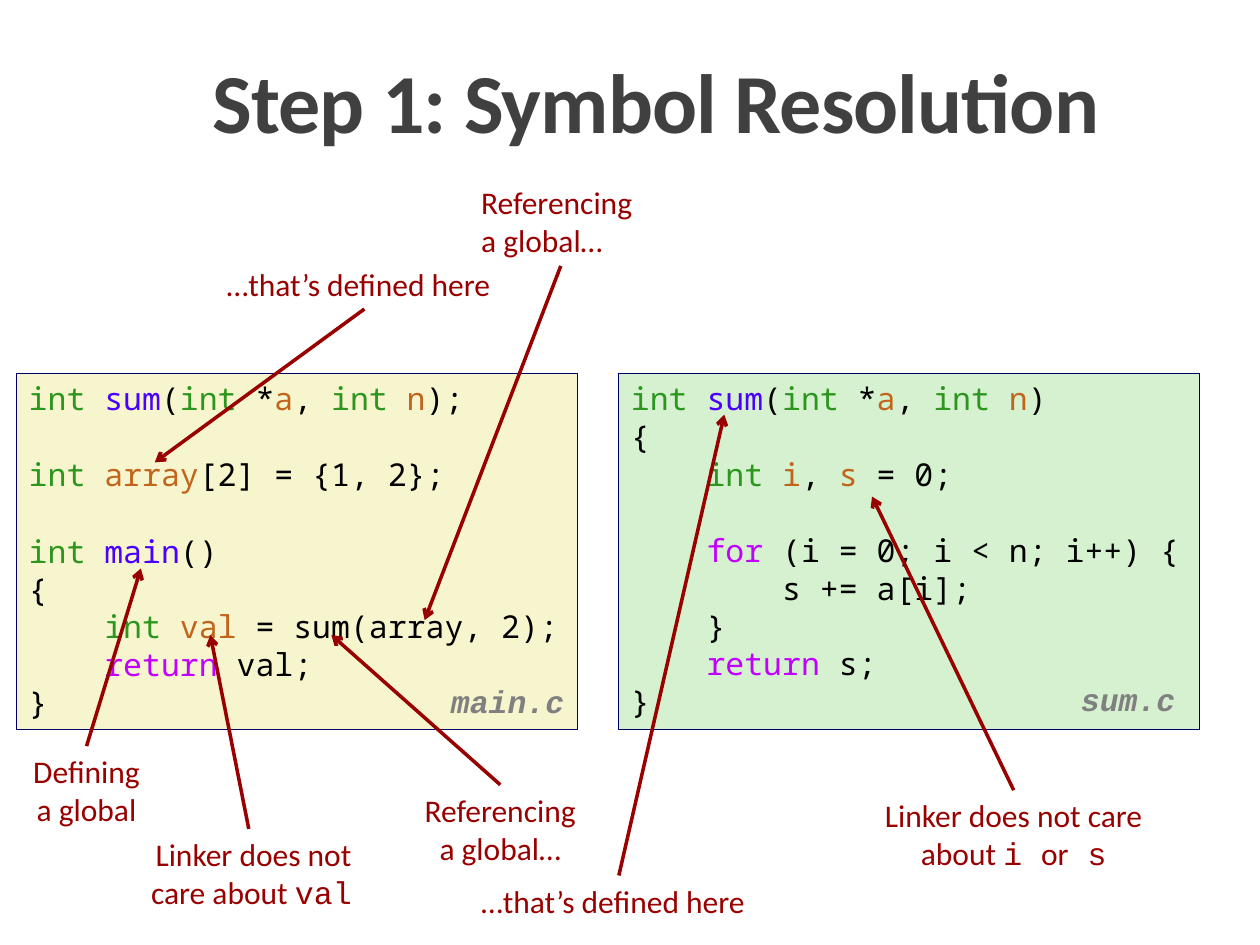
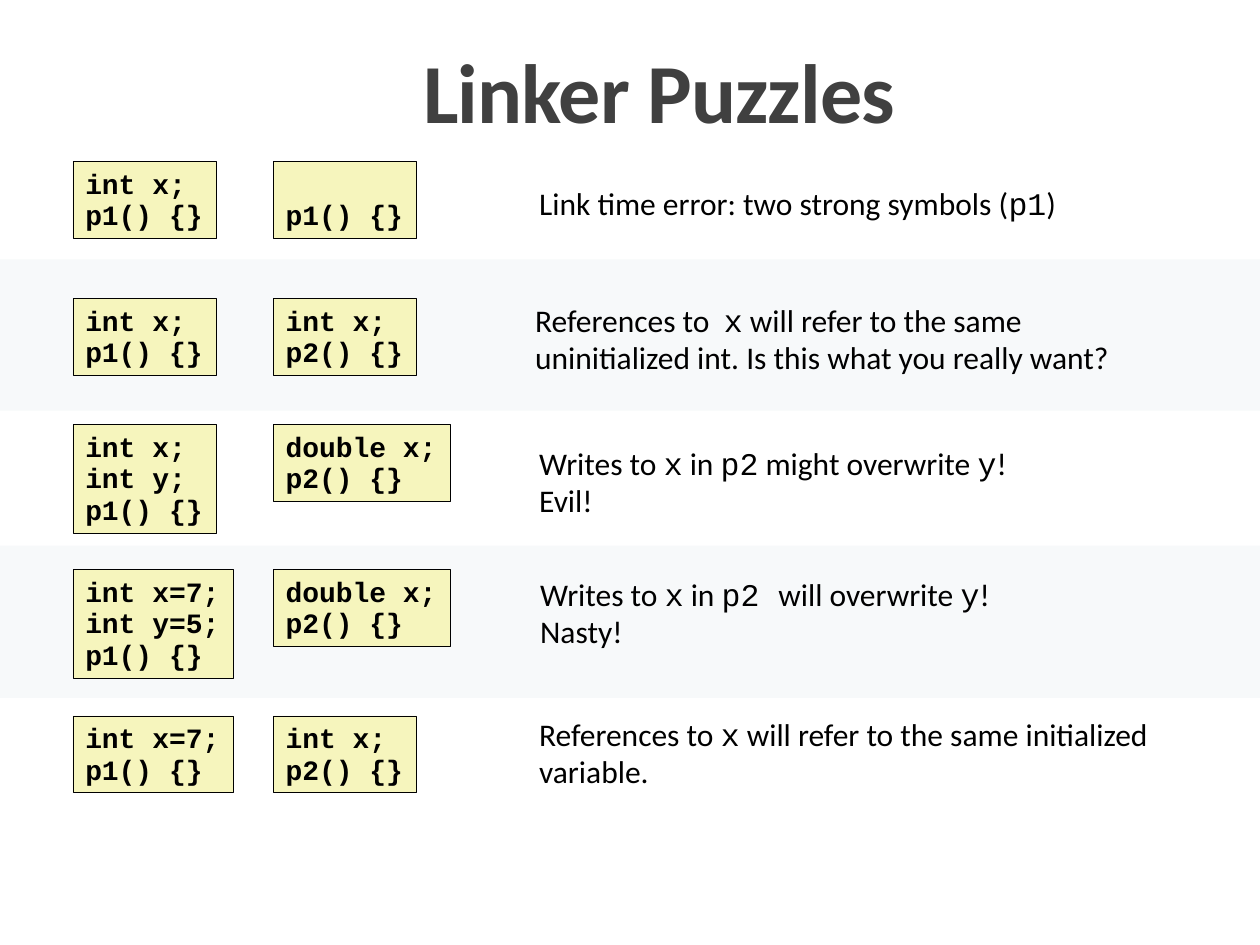
from lxml import etree
from pptx import Presentation
from pptx.dml.color import RGBColor
from pptx.enum.shapes import MSO_CONNECTOR, MSO_SHAPE
from pptx.enum.text import MSO_ANCHOR, PP_ALIGN
from pptx.oxml.ns import qn
from pptx.util import Cm, Pt

LEFT, MID, RIGHT = PP_ALIGN.LEFT, PP_ALIGN.CENTER, PP_ALIGN.RIGHT
TOP, BOTTOM = MSO_ANCHOR.TOP, MSO_ANCHOR.BOTTOM
RECT, LINE = MSO_SHAPE.RECTANGLE, MSO_CONNECTOR.STRAIGHT
SANS, COURIER, MONO = "Calibri", "Courier New", "Noto Sans Mono"

COLORS = {
    "title": "404040", "black": "000000", "red": "990000", "gray": "808080",
    "navy": "000066", "main": "F7F5CD", "sum": "D5F1CF",
    "cell": "F6F5BD", "band": "F7F9FA",
}
TONES = {"g": "2D961E", "b": "4A00FF", "o": "C1651C", "p": "C200FF", "k": "000000"}
FACES = {"m": COURIER, "c": SANS}

MAIN = """`gint `bsum`k(`gint`k *`oa`k, `gint `on`k);

`gint `oarray`k[2] = {1, 2};

`gint `bmain`k()
{
    `gint `oval`k = sum(array, 2);
    `preturn`k val;
}"""
SUM = """`gint `bsum`k(`gint`k *`oa`k, `gint `on`k)
{
    `gint `oi`k, `os`k = 0;

    `pfor`k (i = 0; i < n; i++) {
        s += a[i];
    }
    `preturn`k s;
}"""

PANELS = [
    ((0.33, 7.52, 11.3, 7.19), "main", MAIN, "main.c", (8.51, 6.17, 2.79, 0.99)),
    ((12.47, 7.52, 11.71, 7.19), "sum", SUM, "sum.c", (9.07, 6.12, 2.59, 0.99)),
]
CALLS = [
    ("Referencing\na global…", (9.45, 3.56, 3.71, 1.8), LEFT, (8.56, 12.5)),
    ("Defining\na global", (0.36, 15.04, 2.77, 1.8), MID, (2.84, 11.46)),
    ("Linker does not\ncare about `mval", (2.69, 16.71, 4.65, 1.8), RIGHT, (4.24, 12.8)),
    ("Referencing\na global…", (8.23, 15.82, 3.71, 1.8), MID, (6.68, 12.8)),
    ("…that’s defined here", (9.45, 17.65, 6.05, 1.02), LEFT, (14.6, 8.36)),
    ("Linker does not care\nabout `mi `cor`m s", (17.55, 15.93, 5.77, 1.8), MID,
     (17.58, 10.01)),
    ("…that’s defined here", (4.32, 5.21, 6.05, 1.02), LEFT, (3.12, 9.32)),
]
BANDS = [(0, 11, 25.4, 3.07), (0, 5.23, 25.4, 3.05)]
PUZZLES = [
    (3.25, "int x;\np1() {}", "p1() {}",
     "Link time error: two strong symbols (`mp1`c)", (10.62, 0.38, 11.25, 1.02)),
    (6.02, "int x;\np1() {}", "int x;\np2() {}",
     "References to  `mx`c will refer to the same\n"
     "uninitialized int. Is this what you really want?", (10.54, -0.03, 12.22, 1.78)),
    (8.56, "int x;\nint y;\np1() {}", "double x;\np2() {}",
     "Writes to `mx`c in `mp2`c might overwrite `my`c!\nEvil!", (10.62, 0.3, 10.03, 1.78)),
    (11.48, "int x=7;\nint y=5;\np1() {}", "double x;\np2() {}",
     "Writes to `mx`c in `mp2 `cwill overwrite `my`c!\nNasty!", (10.64, 0.03, 9.65, 1.78)),
    (14.43, "int x=7;\np1() {}", "int x;\np2() {}",
     "References to `mx`c will refer to the same initialized\nvariable.",
     (10.62, -0.1, 12.93, 1.78)),
]


def rgb(name):
    return RGBColor.from_string(COLORS[name])


def add_run(para, text, key=None):
    run = para.add_run()
    run.text = text
    if key in TONES:
        run.font.color.rgb = RGBColor.from_string(TONES[key])
    elif key in FACES:
        run.font.name = FACES[key]


def write(shape, text, size, face, color, align=LEFT, space=None, anchor=TOP,
          bold=None, slant=None):
    frame = shape.text_frame
    frame.word_wrap = False
    frame.vertical_anchor = anchor
    gap = 0
    para = None
    for line in text.split("\n"):
        if not line:
            gap += 22
            continue
        para = frame.add_paragraph() if para else frame.paragraphs[0]
        para.alignment = align
        para.line_spacing = space
        if gap:
            para.space_before = Pt(gap)
        gap = 0
        font = para.font
        font.size, font.name, font.bold, font.italic = Pt(size), face, bold, slant
        font.color.rgb = rgb(color)
        body = line.lstrip(" ")
        depth = len(line) - len(body)
        if depth:
            props = para._p.get_or_add_pPr()
            props.set("marL", str(Cm(0.381 * depth)))
            props.set("indent", "0")
        head, *parts = body.split("`")
        if head:
            add_run(para, head)
        for part in parts:
            add_run(para, part[1:], part[0])


def add_text(shapes, box, text, *style, **more):
    shape = shapes.add_textbox(*map(Cm, box))
    write(shape, text, *style, **more)
    return shape


def add_rect(slide, box, fill, edge=None):
    rect = slide.shapes.add_shape(RECT, *map(Cm, box))
    rect.shadow.inherit = False
    rect.fill.solid()
    rect.fill.fore_color.rgb = rgb(fill)
    if edge:
        rect.line.color.rgb = rgb(edge)
        rect.line.width = Pt(0.25)
    else:
        rect.line.fill.background()
    return rect


def add_title(slide, text, left, top):
    shape = add_text(slide.shapes, (left, top, 24.2, 2.18), text, 48, SANS, "title",
                     align=MID, space=0.85, anchor=BOTTOM, bold=True)
    for run in shape.text_frame.paragraphs[0].runs:
        run._r.get_or_add_rPr().set("spc", "-50")


def add_panel(slide, box, fill, code, name, tag):
    write(add_rect(slide, box, fill, "navy"), code, 18, MONO, "black")
    place = (box[0] + tag[0], box[1] + tag[1], *tag[2:])
    add_text(slide.shapes, place, name, 18, COURIER, "gray",
             space=0.94, bold=True, slant=True)


def add_call(slide, text, box, align, tip):
    shapes = slide.shapes.add_group_shape().shapes
    add_text(shapes, box, text, 18, SANS, "red", align=align)
    left, top, width, height = box
    start = top + height if tip[1] > top else top
    arrow = shapes.add_connector(LINE, *map(Cm, (left + width / 2, start, *tip)))
    arrow.line.color.rgb = rgb("red")
    arrow.line.width = Pt(2)
    etree.SubElement(arrow.line._get_or_add_ln(), qn("a:tailEnd"), type="arrow")
    etree.SubElement(arrow._element.spPr, qn("a:effectLst"))


def add_cell(slide, left, top, code):
    lines = code.split("\n")
    width = 0.51 + 0.34 * max(map(len, lines))
    height = 0.28 + 0.635 * max(2, len(lines))
    rect = add_rect(slide, (left, top, width, height), "cell", "black")
    write(rect, code, 16, COURIER, "black", space=0.94, anchor=BOTTOM, bold=True)


def add_puzzle(slide, top, first, second, note, place):
    add_cell(slide, 1.47, top, first)
    add_cell(slide, 5.51, top, second)
    left, drop, width, height = place
    add_text(slide.shapes, (left, top + drop, width, height), note, 18, SANS, "black",
             space=0.98)


def build_steps(slide):
    add_title(slide, "Step 1: Symbol Resolution", 1.12, 0.99)
    for panel in PANELS:
        add_panel(slide, *panel)
    for call in CALLS:
        add_call(slide, *call)


def build_puzzles(slide):
    for band in BANDS:
        add_rect(slide, band, "band")
    add_title(slide, "Linker Puzzles", 1.19, 0.79)
    for puzzle in PUZZLES:
        add_puzzle(slide, *puzzle)


def main():
    deck = Presentation()
    deck.slide_width, deck.slide_height = Cm(25.4), Cm(19.05)
    for build in (build_steps, build_puzzles):
        build(deck.slides.add_slide(deck.slide_layouts[6]))
    deck.save("out.pptx")


if __name__ == "__main__":
    main()
